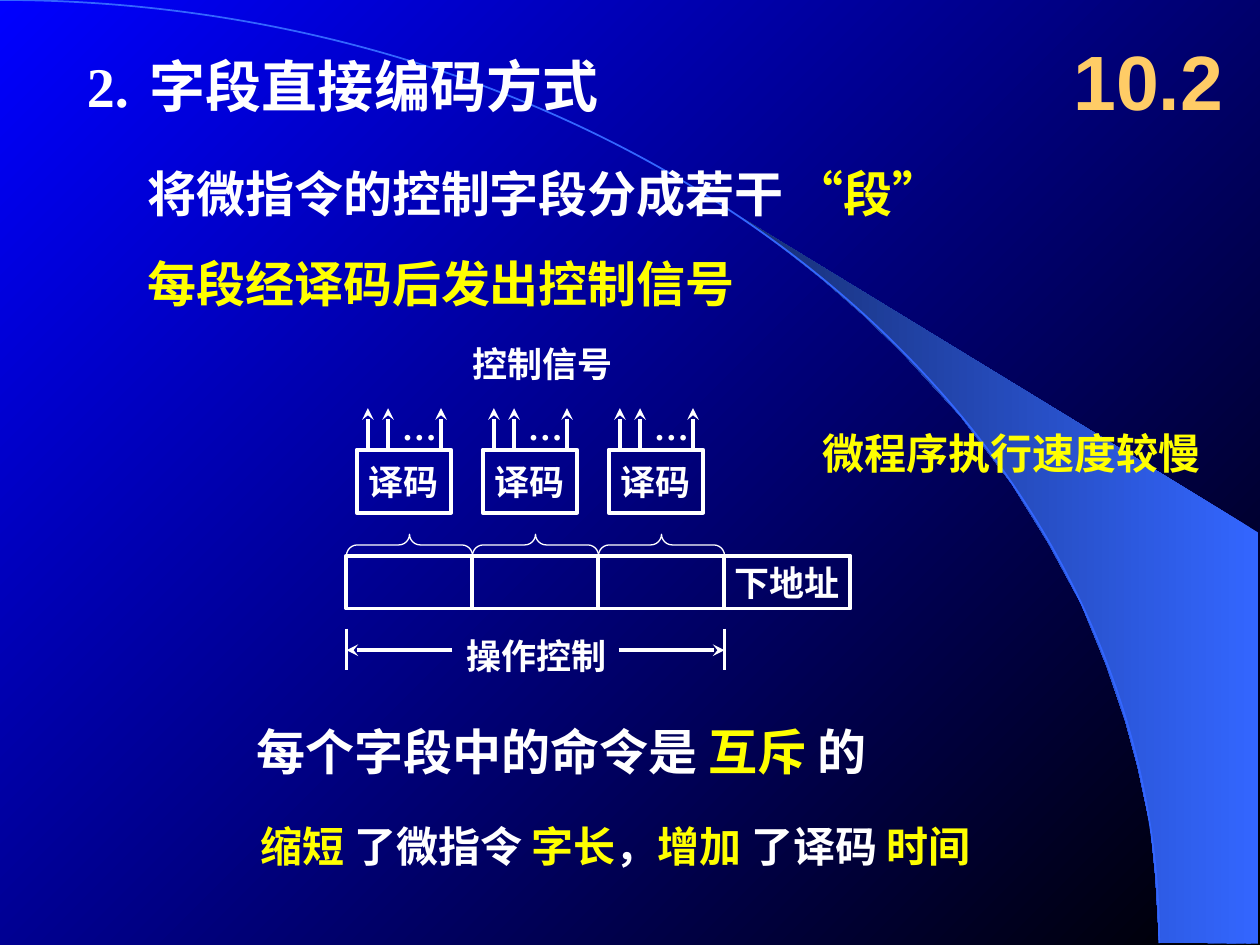
from lxml import etree
from pptx import Presentation
from pptx import util as u
from pptx.dml.color import RGBColor
from pptx.enum import shapes, text
from pptx.oxml import ns

SERIF, SANS, HEAD = "Times New Roman", "DejaVu Sans", "Arial"
WHITE, GOLD, AMBER, BLUE, NAVY = "FFFFFF", "FFFF00", "FFCC66", "3366FF", "172F75"
FORM = shapes.MSO_SHAPE
LEFT, MID = text.PP_ALIGN.LEFT, text.PP_ALIGN.CENTER


def hue(code):
    return RGBColor.from_string(code)


def child(node, tag, **attrs):
    return etree.SubElement(node, ns.qn(tag), attrs)


def blend(fill, first, last, angle):
    """Two-stop linear gradient; the angle runs counter-clockwise."""
    fill.gradient()
    fill.gradient_angle = angle
    for stop, code in zip(fill.gradient_stops, (first, last)):
        stop.color.rgb = hue(code)


def write(frame, *paras, size=20, font=SERIF, color=WHITE, align=LEFT,
          gap=0, tab=None, wrap=False, anchor=text.MSO_ANCHOR.TOP):
    """Fill a frame; a paragraph is a list of (text, color[, font]) or a string."""
    frame.word_wrap = wrap
    frame.auto_size = text.MSO_AUTO_SIZE.NONE
    frame.vertical_anchor = anchor
    for i, runs in enumerate(paras):
        para = frame.add_paragraph() if i else frame.paragraphs[0]
        props = para._p.get_or_add_pPr()
        props.set("marL", "0")
        props.set("indent", "0")
        para.space_before = u.Pt(gap if i else 0)
        para.alignment = align
        child(props, "a:buNone")
        if tab:
            child(child(props, "a:tabLst"), "a:tab", pos=str(u.Inches(tab)), algn="l")
        for words, tint, *face in [(runs, color)] if isinstance(runs, str) else runs:
            run = para.add_run()
            run.text = words
            run.font.size = u.Pt(size)
            run.font.name = face[0] if face else font
            run.font.bold = True
            run.font.color.rgb = hue(tint)


class Page:
    """The current slide and its line style."""

    def __init__(self, slide, ink=WHITE, weight=2.25):
        self.slide, self.ink, self.weight = slide, ink, weight

    def shape(self, form, x, y, w, h, ink=None, weight=None):
        item = self.slide.shapes.add_shape(form, *map(u.Inches, (x, y, w, h)))
        item.shadow.inherit = False
        item.fill.background()
        item.line.color.rgb = hue(ink or self.ink)
        item.line.width = u.Pt(weight or self.weight)
        return item

    def box(self, x, y, w, h, label=None):
        item = self.shape(FORM.RECTANGLE, x, y, w, h)
        if label:
            write(item.text_frame, label, align=MID, anchor=text.MSO_ANCHOR.MIDDLE)

    def brace(self, x, y, w, h):
        """Upward brace over the given area."""
        item = self.shape(FORM.LEFT_BRACE, x + (w - h) / 2, y + (h - w) / 2, h, w, weight=0.75)
        item.rotation = 90
        item.adjustments[0] = 0.5

    def line(self, x1, y1, x2, y2, arrow=False):
        item = self.slide.shapes.add_connector(
            shapes.MSO_CONNECTOR.STRAIGHT, *map(u.Inches, (x1, y1, x2, y2)))
        item.line.color.rgb = hue(self.ink)
        item.line.width = u.Pt(self.weight)
        if arrow:
            child(item.line._get_or_add_ln(), "a:tailEnd", type="stealth")
        child(item._element.spPr, "a:effectLst")

    def label(self, x, y, w, h, *paras, **style):
        item = self.slide.shapes.add_textbox(*map(u.Inches, (x, y, w, h)))
        write(item.text_frame, *paras, **style)

    def hold(self, item, x, y, w, h, *paras, **style):
        """Place and fill a placeholder, in front of what is already drawn."""
        item.left, item.top, item.width, item.height = map(u.Inches, (x, y, w, h))
        item.element.getparent().append(item.element)
        write(item.text_frame, *paras, wrap=True, **style)

    def sweep(self, points):
        pen = [(u.Inches(x), u.Inches(y)) for x, y in points]
        path = self.slide.shapes.build_freeform(*pen[0], scale=1.0)
        path.add_line_segments(pen[1:], close=True)
        item = path.convert_to_shape()
        item.shadow.inherit = False
        item.line.fill.background()
        blend(item.fill, BLUE, NAVY, 180)


def main():
    deck = Presentation()
    deck.slide_width, deck.slide_height = u.Inches(10), u.Inches(7.5)
    slide = deck.slides.add_slide(deck.slide_layouts[1])
    page = Page(slide)

    blend(slide.background.fill, "000000", "0000FF", 135)
    page.sweep([(9.2, 7.48), (9.99, 7.49), (9.99, 4.23), (5.89, 1.73), (6.24, 1.99),
                (6.53, 2.22), (6.85, 2.5), (7.16, 2.8), (7.62, 3.3), (8.03, 3.84),
                (8.32, 4.31), (8.58, 4.79), (8.78, 5.28), (8.93, 5.72), (9.03, 6.09),
                (9.13, 6.56), (9.17, 6.96)])
    page.shape(FORM.ARC, -9.2, 0, 18.4, 14.97, ink=BLUE, weight=1)

    page.hold(slide.shapes.title, 0.59, 0.36, 8.66, 0.64,
              [("2.\t", WHITE), ("字段直接编码方式", WHITE, SANS)], size=32, tab=0.55)
    page.hold(slide.placeholders[1], 1.07, 1.25, 8.35, 1.28,
              [("将微指令的控制字段分成若干 ", WHITE), ("“段”", GOLD)],
              [("每段经译码后发出控制信号", GOLD)], size=28, font=SANS, gap=17.5)
    page.label(1.94, 5.68, 5.75, 0.57,
               [("每个字段中的命令是 ", WHITE), ("互斥 ", GOLD), ("的", WHITE)],
               size=28, font=SANS, wrap=True)

    start, fields, top, high = 2.75, 3, 4.41, 0.42
    for i in range(fields):
        x = start + i
        page.box(x + 0.08, 3.57, 0.75, 0.5, "译码")
        for step in (0.17, 0.33, 0.75):
            page.line(x + step, 3.57, x + step, 3.24, arrow=True)
        page.label(x + 0.34, 3.17, 0.48, 0.44, "…")
        page.box(x, top, 1, high)
        page.brace(x, 4.24, 1, 0.17)
    end = start + fields
    page.box(end, top, 1, high, "下地址")

    for edge, inner in ((start, 3.59), (end, 4.91)):
        page.line(edge, 4.99, edge, 5.32)
        page.line(inner, 5.16, edge, 5.16, arrow=True)
    page.label(3.6, 4.99, 1.31, 0.44, "操作控制")
    page.label(3.65, 2.67, 1.31, 0.44, "控制信号")

    page.label(1.97, 6.46, 5.83, 0.5,
               [("缩短 ", GOLD), ("了微指令 ", WHITE), ("字长", GOLD), ("，", WHITE),
                ("增加 ", GOLD), ("了译码 ", WHITE), ("时间", GOLD)], size=24)
    page.label(6.43, 3.34, 3.2, 0.5, "微程序执行速度较慢", size=24, color=GOLD)
    page.label(8.42, 0.17, 1.58, 0.92, "10.2", size=44, font=HEAD, color=AMBER,
               wrap=True, anchor=text.MSO_ANCHOR.MIDDLE)
    deck.save("out.pptx")


if __name__ == "__main__":
    main()
